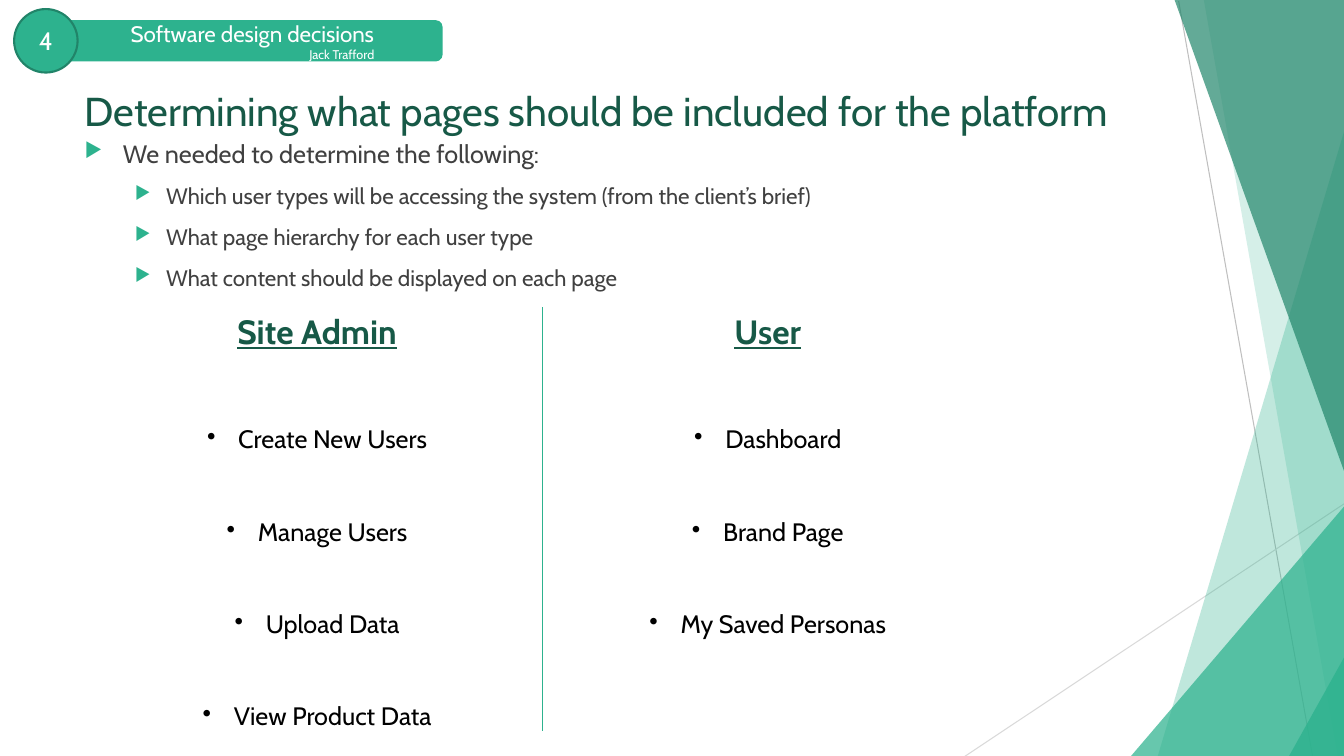
from dataclasses import dataclass
from typing import Optional

from lxml.etree import SubElement
from pptx import Presentation
from pptx.dml.color import RGBColor
from pptx.enum.shapes import MSO_CONNECTOR, MSO_SHAPE
from pptx.enum.text import MSO_ANCHOR, PP_ALIGN
from pptx.oxml.ns import qn
from pptx.util import Inches, Pt

SLIDE_WIDTH, SLIDE_HEIGHT = Inches(13.33), Inches(7.5)
COLUMNS, ROWS = 133.3, 75
FONT = "Cabin"
PLAIN_TABLE = "{2D5ABB26-0587-4C30-8999-92F81FD0307C}"
COLORS = {
    "green": "2DB28E",
    "deep": "22866B",
    "rim": "218469",
    "heading": "175947",
    "body": "404040",
    "black": "000000",
    "white": "FFFFFF",
    "grey": "BFBFBF",
    "pale": "D9D9D9",
}


@dataclass
class Box:
    left: float
    top: float
    width: float
    height: float

    def place(self) -> tuple:
        return across(self.left), down(self.top), across(self.width), down(self.height)


@dataclass
class Ray:
    start: tuple
    end: tuple
    color: str


@dataclass
class Facet:
    outline: list
    color: str
    opacity: int


@dataclass
class Wedge:
    box: Box
    opacity: int


@dataclass
class Style:
    size: float
    color: str
    align: Optional[PP_ALIGN] = None
    strong: bool = False


@dataclass
class Bullet:
    mark: str
    margin: float
    hanging: float
    color: Optional[str] = None
    share: Optional[int] = None


@dataclass
class UserType:
    title: str
    pages: list


RIGHT, BOTTOM = 147.7, 75.1
RAYS = [
    Ray((116.9, 0.1), (130.2, BOTTOM), "grey"),
    Ray((RIGHT, 40.4), (95.6, BOTTOM), "pale"),
]
BACKDROP = [
    Facet([(137.2, 0), (RIGHT, 0), (RIGHT, BOTTOM), (114.8, BOTTOM)], "green", 30),
    Facet([(119.4, 0), (RIGHT, 0), (RIGHT, BOTTOM), (132.7, BOTTOM)], "green", 20),
    Wedge(Box(112.1, 33.4, 35.6, 41.7), 72),
    Facet([(116.5, 0), (RIGHT, 0), (RIGHT, BOTTOM), (143.5, BOTTOM)], "deep", 70),
    Wedge(Box(127.8, 39.4, 19.9, 35.7), 80),
]
QUESTIONS = [
    "Which user types will be accessing the system (from the client’s brief)",
    "What page hierarchy for each user type",
    "What content should be displayed on each page",
]
USER_TYPES = [
    UserType("Site Admin", ["Create New Users", "Manage Users", "Upload Data", "View Product Data"]),
    UserType("User", ["Dashboard", "Brand Page", "My Saved Personas"]),
]


def across(columns: float) -> int:
    return round(SLIDE_WIDTH * columns / COLUMNS)


def down(rows: float) -> int:
    return round(SLIDE_HEIGHT * rows / ROWS)


def rgb(name: str) -> RGBColor:
    return RGBColor.from_string(COLORS[name])


def paint(shape, color: str, opacity: int = 100) -> None:
    shape.shadow.inherit = False
    shape.line.fill.background()
    shape.fill.solid()
    shape.fill.fore_color.rgb = rgb(color)
    if opacity < 100:
        tone = shape.fill._xPr.find(f".//{qn('a:srgbClr')}")
        SubElement(tone, qn("a:alpha"), val=str(opacity * 1000))


def draw_ray(shapes, ray: Ray) -> None:
    (x1, y1), (x2, y2) = ray.start, ray.end
    line = shapes.add_connector(MSO_CONNECTOR.STRAIGHT, across(x1), down(y1), across(x2), down(y2))
    line.line.color.rgb = rgb(ray.color)
    line.line.width = Pt(0.75)
    SubElement(line._element.spPr, qn("a:effectLst"))


def draw_facet(shapes, facet: Facet) -> None:
    points = [(across(x), down(y)) for x, y in facet.outline]
    builder = shapes.build_freeform(*points[0])
    builder.add_line_segments(points[1:], close=True)
    paint(builder.convert_to_shape(), facet.color, facet.opacity)


def draw_wedge(shapes, wedge: Wedge) -> None:
    triangle = shapes.add_shape(MSO_SHAPE.ISOSCELES_TRIANGLE, *wedge.box.place())
    triangle.adjustments[0] = 1
    paint(triangle, "green", wedge.opacity)


def write(paragraph, text: str, style: Style) -> None:
    paragraph.text = text
    if style.align is not None:
        paragraph.alignment = style.align
    for run in paragraph.runs:
        run.font.name = FONT
        run.font.size = Pt(style.size)
        run.font.color.rgb = rgb(style.color)
        run.font.bold = run.font.underline = style.strong


def add_bullet(paragraph, bullet: Bullet) -> None:
    properties = paragraph._p.get_or_add_pPr()
    properties.set("marL", str(across(bullet.margin)))
    properties.set("indent", str(-across(bullet.hanging)))
    if bullet.color:
        tint = SubElement(properties, qn("a:buClr"))
        SubElement(tint, qn("a:srgbClr"), val=COLORS[bullet.color])
    if bullet.share:
        SubElement(properties, qn("a:buSzPct"), val=str(bullet.share * 1000))
    SubElement(properties, qn("a:buChar"), char=bullet.mark)


def next_paragraph(frame, index: int):
    return frame.add_paragraph() if index else frame.paragraphs[0]


def add_frame(shapes, box: Box):
    frame = shapes.add_textbox(*box.place()).text_frame
    frame.word_wrap = True
    return frame


def draw_header(shapes) -> None:
    paint(shapes.add_shape(MSO_SHAPE.ROUNDED_RECTANGLE, *Box(4.5, 2, 39.4, 4.1).place()), "green")
    badge = shapes.add_shape(MSO_SHAPE.OVAL, *Box(1.4, 0.9, 6.3, 6.3).place())
    paint(badge, "green")
    badge.line.color.rgb = rgb("rim")
    badge.line.width = Pt(1.5)
    badge.text_frame.vertical_anchor = MSO_ANCHOR.MIDDLE
    write(badge.text_frame.paragraphs[0], "4", Style(18, "white", PP_ALIGN.CENTER))
    caption = add_frame(shapes, Box(10.4, 1.5, 27.7, 5.2))
    for index, (text, size) in enumerate([("Software design decisions", 16), ("Jack Trafford", 9)]):
        write(next_paragraph(caption, index), text, Style(size, "white", PP_ALIGN.RIGHT))


def draw_questions(shapes) -> None:
    title = add_frame(shapes, Box(7.4, 8.1, 113.5, 7))
    write(title.paragraphs[0], "Determining what pages should be included for the platform", Style(28.8, "heading"))
    body = add_frame(shapes, Box(7.4, 13.2, 94, 47.1))
    lead = body.paragraphs[0]
    add_bullet(lead, Bullet("▶", 3.8, 3.8, "green", 80))
    write(lead, "We needed to determine the following:", Style(18, "body"))
    for question in QUESTIONS:
        paragraph = body.add_paragraph()
        paragraph.level = 1
        paragraph.space_before = Pt(10)
        add_bullet(paragraph, Bullet("▶", 8.1, 3.1, "green", 80))
        write(paragraph, question, Style(16, "body"))


def draw_border(cell, side: str) -> None:
    border = SubElement(cell._tc.get_or_add_tcPr(), qn(f"a:{side}"), w=str(Pt(1)))
    SubElement(SubElement(border, qn("a:solidFill")), qn("a:srgbClr"), val=COLORS["green"])


def draw_user_types(shapes) -> None:
    heights = [3.6, 27]
    table = shapes.add_table(2, len(USER_TYPES), *Box(9.1, 30.5, 89.4, sum(heights)).place()).table
    table.first_row = table.horz_banding = False
    table._tbl.tblPr.find(qn("a:tableStyleId")).text = PLAIN_TABLE
    for row, height in zip(table.rows, heights):
        row.height = down(height)
    for column, user_type in enumerate(USER_TYPES):
        heading, pages = table.cell(0, column), table.cell(1, column)
        for cell in (heading, pages):
            draw_border(cell, "lnL" if column else "lnR")
            cell.fill.background()
        write(heading.text_frame.paragraphs[0], user_type.title, Style(24, "heading", PP_ALIGN.CENTER, True))
        for index, page in enumerate(user_type.pages):
            paragraph = next_paragraph(pages.text_frame, index)
            paragraph.line_spacing = 3.0
            add_bullet(paragraph, Bullet("•", 3.1, 3.1))
            write(paragraph, page, Style(18, "black", PP_ALIGN.CENTER))


def main() -> None:
    deck = Presentation()
    deck.slide_width, deck.slide_height = SLIDE_WIDTH, SLIDE_HEIGHT
    shapes = deck.slides.add_slide(deck.slide_layouts[6]).shapes
    for ray in RAYS:
        draw_ray(shapes, ray)
    for part in BACKDROP:
        draw_wedge(shapes, part) if isinstance(part, Wedge) else draw_facet(shapes, part)
    draw_header(shapes)
    draw_questions(shapes)
    draw_user_types(shapes)
    deck.save("out.pptx")


if __name__ == "__main__":
    main()
